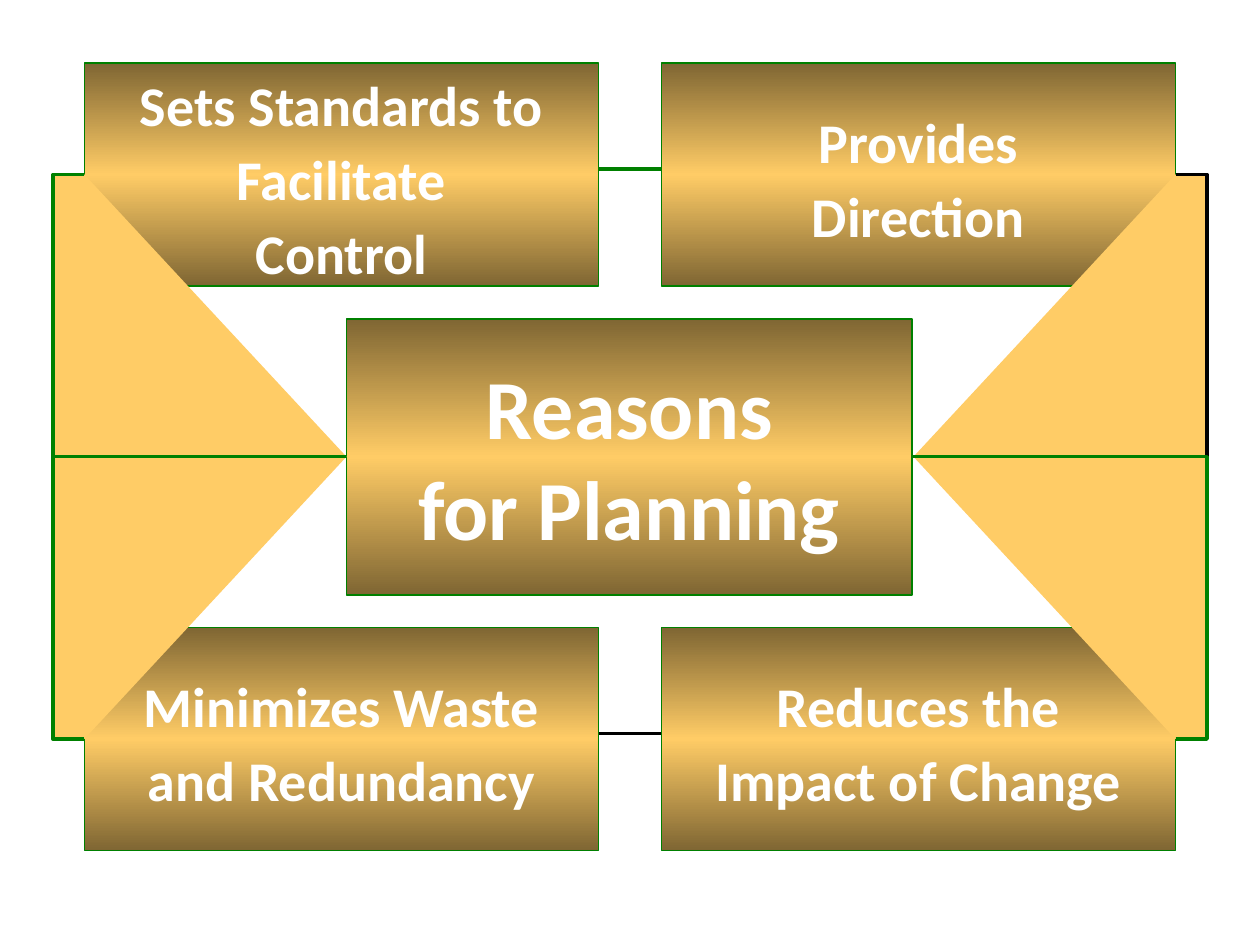
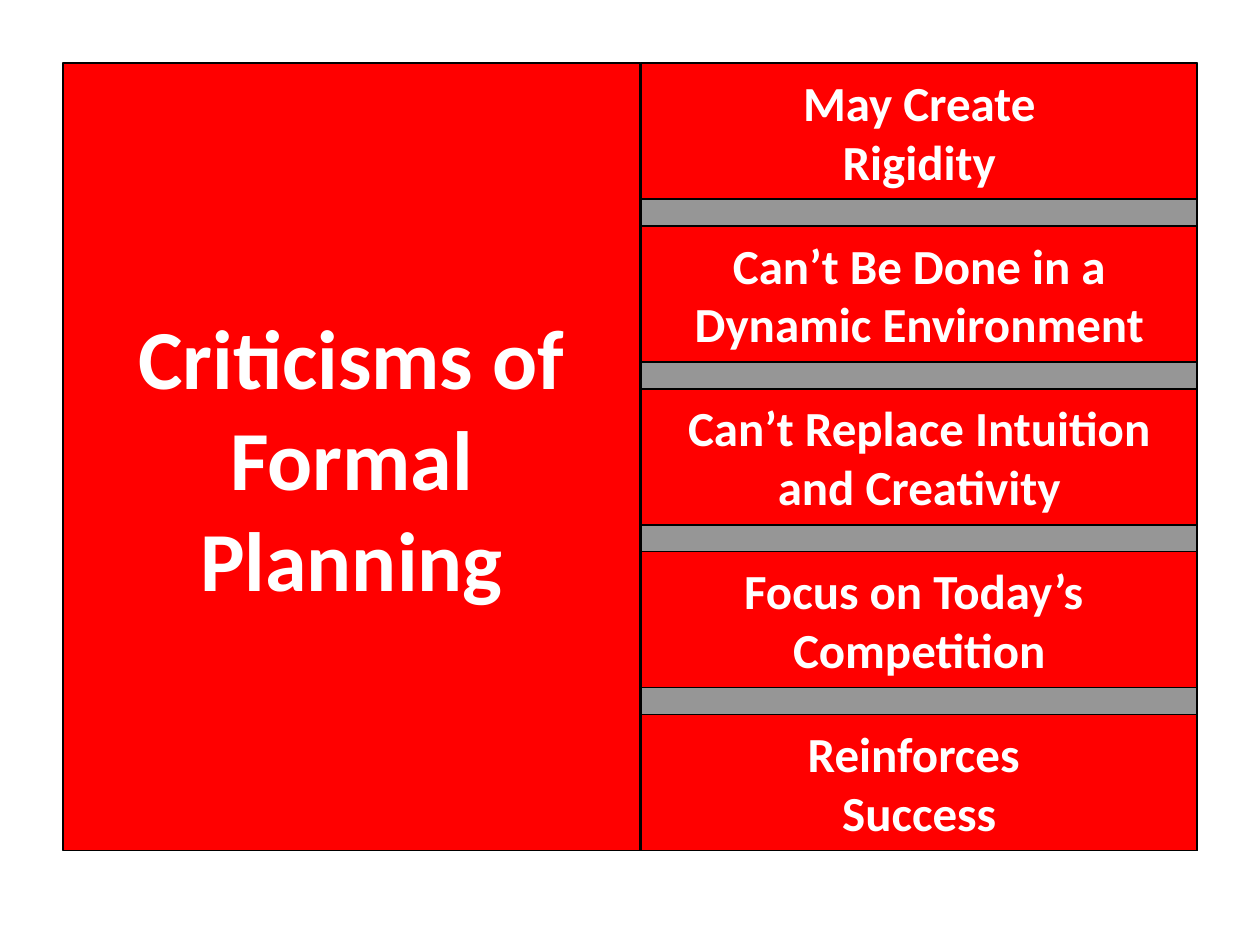
from copy import deepcopy
from dataclasses import dataclass

from lxml import etree
from pptx import Presentation
from pptx.dml.color import RGBColor
from pptx.enum import shapes, text
from pptx.oxml.ns import qn
from pptx.util import Inches, Pt

WHITE = RGBColor(0xFF, 0xFF, 0xFF)
BLACK = RGBColor(0x00, 0x00, 0x00)
GREEN = RGBColor(0x00, 0x80, 0x00)
GOLD = RGBColor(0xFF, 0xCC, 0x66)
BRONZE = RGBColor(0x7F, 0x66, 0x33)
RED = RGBColor(0xFF, 0x00, 0x00)
GRAY = RGBColor(0x96, 0x96, 0x96)
FONT = "Calibri"
SLIDE_W, SLIDE_H = 10, 7.5
TOP, HEIGHT = 0.5, 6.25
TITLE_SIZE = 48


@dataclass
class Box:
    left: float
    top: float
    width: float
    height: float
    lines: tuple[str, ...] = ()
    size: int = TITLE_SIZE
    spacing: float = 1.0

    @property
    def middle(self) -> float:
        return self.top + self.height / 2


def fill_gold_band(fill) -> None:
    """Vertical gradient: dark at both edges, gold in the middle."""
    fill.gradient()
    fill.gradient_angle = 90
    stops = fill.gradient_stops
    first = stops[0]._gs
    first.getparent().append(deepcopy(first))
    for stop, position, color in zip(fill.gradient_stops, (0, 0.5, 1), (BRONZE, GOLD, BRONZE)):
        stop.position = position
        stop.color.rgb = color


def add_box(s, box: Box, line: RGBColor, fill: RGBColor | None = None):
    """Draw a box with centred text; without a fill colour it gets the gold band."""
    sp = s.shapes.add_shape(shapes.MSO_SHAPE.RECTANGLE, Inches(box.left), Inches(box.top),
                            Inches(box.width), Inches(box.height))
    sp.shadow.inherit = False
    if fill is None:
        fill_gold_band(sp.fill)
    else:
        sp.fill.solid()
        sp.fill.fore_color.rgb = fill
    sp.line.color.rgb = line
    sp.line.width = Pt(1)
    tf = sp.text_frame
    tf.word_wrap = False
    tf.vertical_anchor = text.MSO_ANCHOR.MIDDLE
    for i, words in enumerate(box.lines):
        p = tf.add_paragraph() if i else tf.paragraphs[0]
        p.alignment = text.PP_ALIGN.CENTER
        p.line_spacing = box.spacing
        r = p.add_run()
        r.text = words
        r.font.name = FONT
        r.font.size = Pt(box.size)
        r.font.bold = True
        r.font.color.rgb = WHITE


def add_link(s, y: float, color: RGBColor) -> None:
    """Horizontal line that joins the two boxes of a row."""
    cx = s.shapes.add_connector(shapes.MSO_CONNECTOR.STRAIGHT,
                                Inches(3.67), Inches(y), Inches(5.33), Inches(y))
    cx.line.color.rgb = color
    cx.line.width = Pt(2)
    etree.SubElement(cx._element.spPr, qn("a:effectLst"))


def add_bracket(s, xs: tuple[float, float, float], start_y: float, end_y: float,
                color: RGBColor) -> None:
    """Open filled bracket from a corner box, out to the side, to the centre box."""
    box_x, outer_x, centre_x = (Inches(x) for x in xs)
    start, end = Inches(start_y), Inches(end_y)
    builder = s.shapes.build_freeform(box_x, start)
    builder.add_line_segments([(outer_x, start), (outer_x, end), (centre_x, end)], close=False)
    sp = builder.convert_to_shape()
    sp.shadow.inherit = False
    sp.fill.solid()
    sp.fill.fore_color.rgb = GOLD
    sp.line.color.rgb = color
    sp.line.width = Pt(2)


def build_reasons(s) -> None:
    width, height, left = 4.08, 1.77, 0.67
    right = SLIDE_W - left - width
    bottom = TOP + HEIGHT - height

    def corner(x: float, y: float, *lines: str) -> Box:
        return Box(x, y, width, height, lines, 32, 1.1)

    corners = [
        corner(right, bottom, "Reduces the", "Impact of Change"),
        corner(right, TOP, "Provides", "Direction"),
        corner(left, bottom, "Minimizes Waste", "and Redundancy"),
        corner(left, TOP, "Sets Standards to", "Facilitate", "Control"),
    ]
    centre = Box(2.75, 2.53, 4.49, 2.19, ("Reasons", "for Planning"))

    add_link(s, 5.82, BLACK)
    add_link(s, 1.34, GREEN)
    for box in corners + [centre]:
        add_box(s, box, GREEN)

    left_xs = (left, 0.42, centre.left)
    right_xs = tuple(SLIDE_W - x for x in left_xs)
    upper, lower = TOP + height / 2, bottom + height / 2
    for xs, upper_color in ((left_xs, GREEN), (right_xs, BLACK)):
        add_bracket(s, xs, upper, centre.middle, upper_color)
        add_bracket(s, xs, lower, centre.middle, GREEN)


def build_criticisms(s) -> None:
    left, width, bar_height = 5.09, 4.41, 1.08
    criticisms = [
        ("May Create", "Rigidity"),
        ("Can’t Be Done in a", "Dynamic Environment"),
        ("Can’t Replace Intuition", "and Creativity"),
        ("Focus on Today’s ", "Competition"),
        ("Reinforces ", "Success"),
    ]
    title = Box(0.5, TOP, 4.58, HEIGHT, ("Criticisms of", "Formal", "Planning"))
    add_box(s, title, BLACK, RED)
    add_box(s, Box(left, TOP, width, HEIGHT), BLACK, GRAY)
    pitch = (HEIGHT - bar_height) / (len(criticisms) - 1)
    for i, lines in enumerate(criticisms):
        add_box(s, Box(left, TOP + i * pitch, width, bar_height, lines, 28), BLACK, RED)


def main() -> None:
    prs = Presentation()
    prs.slide_width, prs.slide_height = Inches(SLIDE_W), Inches(SLIDE_H)
    for build in (build_reasons, build_criticisms):
        build(prs.slides.add_slide(prs.slide_layouts[6]))
    prs.save("out.pptx")


if __name__ == "__main__":
    main()
